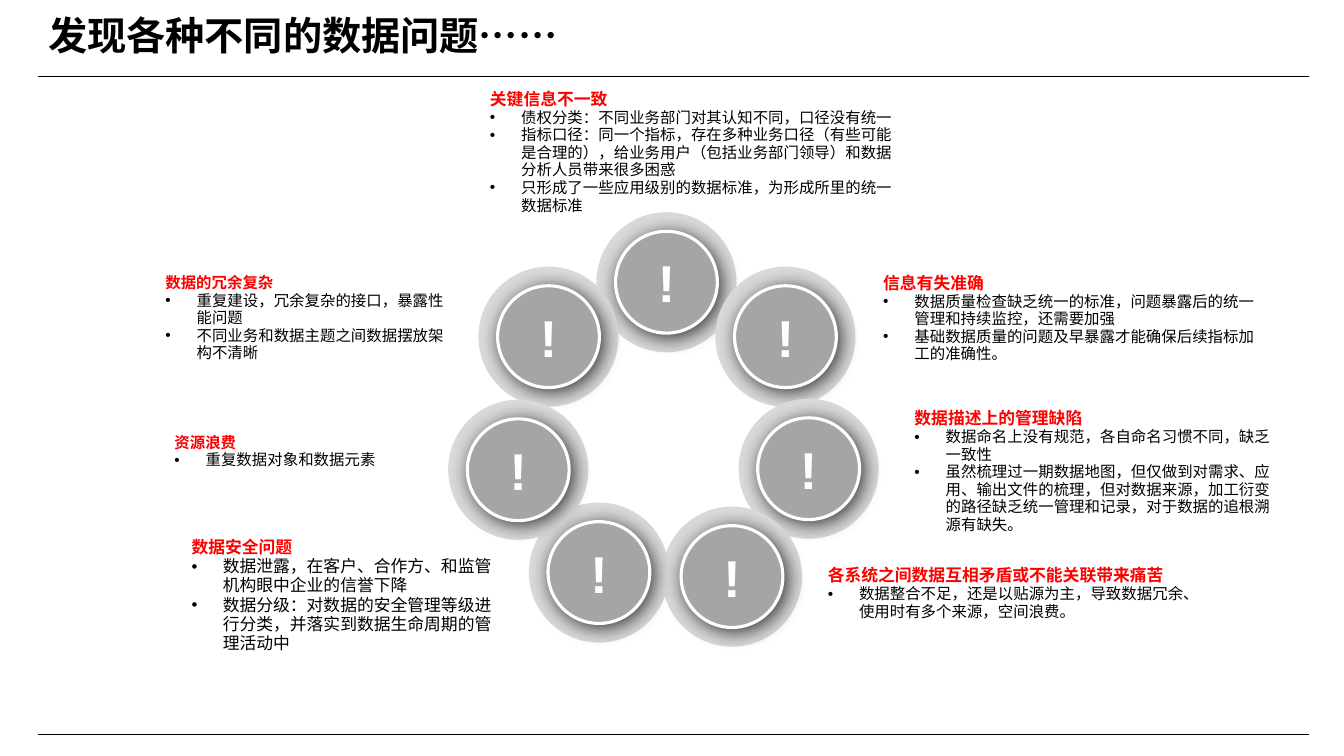
from lxml.etree import SubElement
from pptx import Presentation
from pptx.dml.color import RGBColor
from pptx.enum.shapes import MSO_CONNECTOR as Connector, MSO_SHAPE as Shape
from pptx.enum.text import MSO_ANCHOR as Anchor, PP_ALIGN as Align
from pptx.oxml.ns import qn
from pptx.util import Inches, Pt

COLORS = {
    "ink": "000000",
    "heading": "FF0000",
    "halo": "D9D9D9",
    "disc": "A5A5A5",
    "white": "FFFFFF",
}
BODY_FONT, TITLE_FONT = "Arial", "Noto Sans CJK SC"

# Positions count the columns and rows of a grid with square cells
CELL = Inches(0.1)
COLUMNS, ROWS = 133.3, 75
LEFT, RIGHT = 3.8, 129.8
RULE_ROWS = (7.6, 72.9)
HALO_SIZE, DISC_SIZE = 13.9, 10.1
INDENT = Inches(0.31)

# Column and row of each ring centre, clockwise from the top
RINGS = [(66.1, 28), (77.9, 33.4), (80.2, 46.5), (72.6, 57.2),
         (59.4, 56.8), (54.4, 33.4), (51.4, 46.6)]

# Grid box, anchor, heading size, bullet size, heading, bullets
ISSUES = [
    ((47.1, 10, 44.3, 10.2), Anchor.MIDDLE, 12, 11, "关键信息不一致", [
        "债权分类：不同业务部门对其认知不同，口径没有统一",
        "指标口径：同一个指标，存在多种业务口径（有些可能是合理的），"
        "给业务用户（包括业务部门领导）和数据分析人员带来很多困惑",
        "只形成了一些应用级别的数据标准，为形成所里的统一数据标准"]),
    ((86.1, 26.5, 40.4, 10.2), Anchor.MIDDLE, 12, 11, "信息有失准确", [
        "数据质量检查缺乏统一的标准，问题暴露后的统一管理和持续监控，还需要加强",
        "基础数据质量的问题及早暴露才能确保后续指标加工的准确性。"]),
    ((89.2, 39.6, 39, 10.2), Anchor.TOP, 12, 11, "数据描述上的管理缺陷", [
        "数据命名上没有规范，各自命名习惯不同，缺乏一致性",
        "虽然梳理过一期数据地图，但仅做到对需求、应用、输出文件的梳理，"
        "但对数据来源，加工衍变的路径缺乏统一管理和记录，对于数据的追根溯源有缺失。"]),
    ((80.6, 55.2, 39.9, 10.2), Anchor.TOP, 12, 11,
     "各系统之间数据互相矛盾或不能关联带来痛苦", [
         "数据整合不足，还是以贴源为主，导致数据冗余、使用时有多个来源，空间浪费。"]),
    ((17.5, 54, 33.6, 10.2), Anchor.MIDDLE, 12, 12, "数据安全问题", [
        "数据泄露，在客户、合作方、和监管机构眼中企业的信誉下降",
        "数据分级：对数据的安全管理等级进行分类，并落实到数据生命周期的管理活动中"]),
    ((15.8, 39.6, 27.2, 10.4), Anchor.MIDDLE, 11, 11, "资源浪费", [
        "重复数据对象和数据元素"]),
    ((14.9, 26.5, 31.2, 10.2), Anchor.MIDDLE, 11, 11, "数据的冗余复杂", [
        "重复建设，冗余复杂的接口，暴露性能问题",
        "不同业务和数据主题之间数据摆放架构不清晰"]),
]


def grid(*cells):
    return [round(cell * CELL) for cell in cells]


def color(name):
    return RGBColor.from_string(COLORS[name])


def style(para, size, tint, bold=True, font=BODY_FONT):
    para.font.name = font
    para.font.size = Pt(size)
    para.font.bold = bold
    para.font.color.rgb = color(tint)


def add_rule(page, row):
    rule = page.shapes.add_connector(Connector.STRAIGHT, *grid(LEFT, row, RIGHT, row))
    rule.line.color.rgb = color("ink")
    rule.line.width = Pt(0.5)
    SubElement(rule._element.spPr, qn("a:effectLst"))


def add_text_box(page, place, anchor, inset_x, inset_y):
    frame = page.shapes.add_textbox(*grid(*place)).text_frame
    frame.word_wrap = True
    frame.vertical_anchor = anchor
    frame.margin_left = frame.margin_right = Inches(inset_x)
    frame.margin_top = frame.margin_bottom = Inches(inset_y)
    return frame


def add_title(page, text):
    place = (LEFT, 0, RIGHT - LEFT, RULE_ROWS[0])
    para = add_text_box(page, place, Anchor.MIDDLE, 0.1, 0.05).paragraphs[0]
    para.text = text
    para.line_spacing = 0.9
    style(para, 28, "ink", font=TITLE_FONT)


def add_bullet(para):
    props = para._p.get_or_add_pPr()
    props.set("marL", str(INDENT))
    props.set("indent", str(-INDENT))
    SubElement(props, qn("a:buFont"), typeface=BODY_FONT)
    SubElement(props, qn("a:buChar"), char="•")


def add_issue(page, place, anchor, heading_size, bullet_size, heading, bullets):
    frame = add_text_box(page, place, anchor, 0.15, 0.1)
    para = frame.paragraphs[0]
    para.text = heading
    para.line_spacing = 0.95
    style(para, heading_size, "heading")
    for bullet in bullets:
        para = frame.add_paragraph()
        para.text = bullet
        para.line_spacing = 0.95
        add_bullet(para)
        style(para, bullet_size, "ink", bold=False)


def add_circle(page, center, size, fill):
    column, row = center
    place = grid(column - size / 2, row - size / 2, size, size)
    circle = page.shapes.add_shape(Shape.OVAL, *place)
    circle.shadow.inherit = False
    circle.fill.solid()
    circle.fill.fore_color.rgb = color(fill)
    circle.line.fill.background()
    return circle


def add_shadow(shape):
    effects = shape._element.spPr.find(qn("a:effectLst"))
    shadow = SubElement(effects, qn("a:outerShdw"), blurRad=str(Pt(14)),
                        dist=str(Pt(3)), dir=str(45 * 60000))
    tint = SubElement(shadow, qn("a:srgbClr"), val=COLORS["ink"])
    SubElement(tint, qn("a:alpha"), val="75000")


def add_ring(page, center):
    add_circle(page, center, HALO_SIZE, "halo")
    disc = add_circle(page, center, DISC_SIZE, "disc")
    disc.line.color.rgb = color("white")
    disc.line.width = Pt(2.25)
    add_shadow(disc)
    frame = disc.text_frame
    frame.word_wrap = False
    frame.vertical_anchor = Anchor.MIDDLE
    para = frame.paragraphs[0]
    para.text = "!"
    para.alignment = Align.CENTER
    style(para, 37, "white")


def main():
    deck = Presentation()
    deck.slide_width, deck.slide_height = grid(COLUMNS, ROWS)
    page = deck.slides.add_slide(deck.slide_layouts[6])

    # Title and rules
    for row in RULE_ROWS:
        add_rule(page, row)
    add_title(page, "发现各种不同的数据问题……")

    # Issues around the circle of rings
    for issue in ISSUES:
        add_issue(page, *issue)
    for center in RINGS:
        add_ring(page, center)

    deck.save("out.pptx")


if __name__ == "__main__":
    main()
